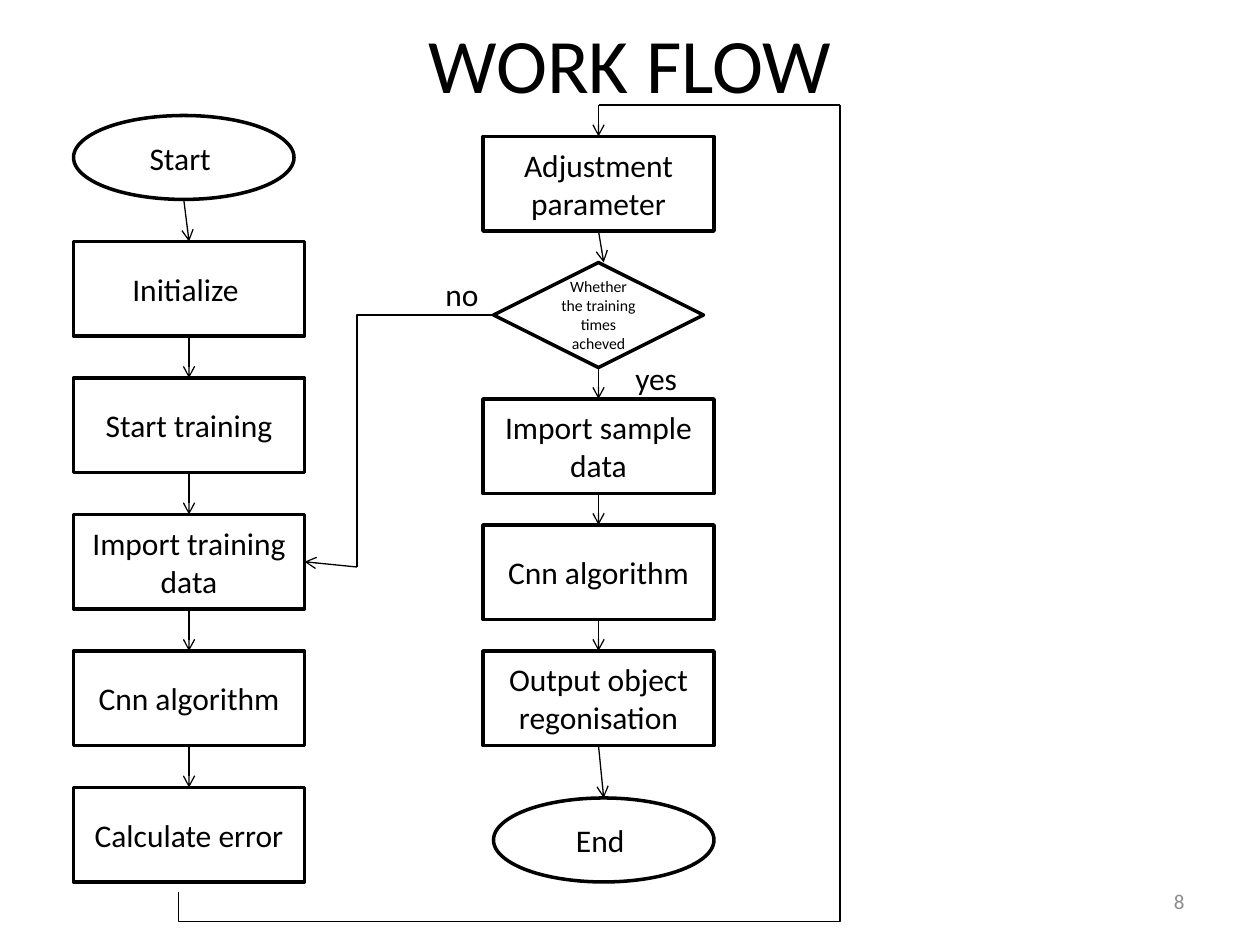
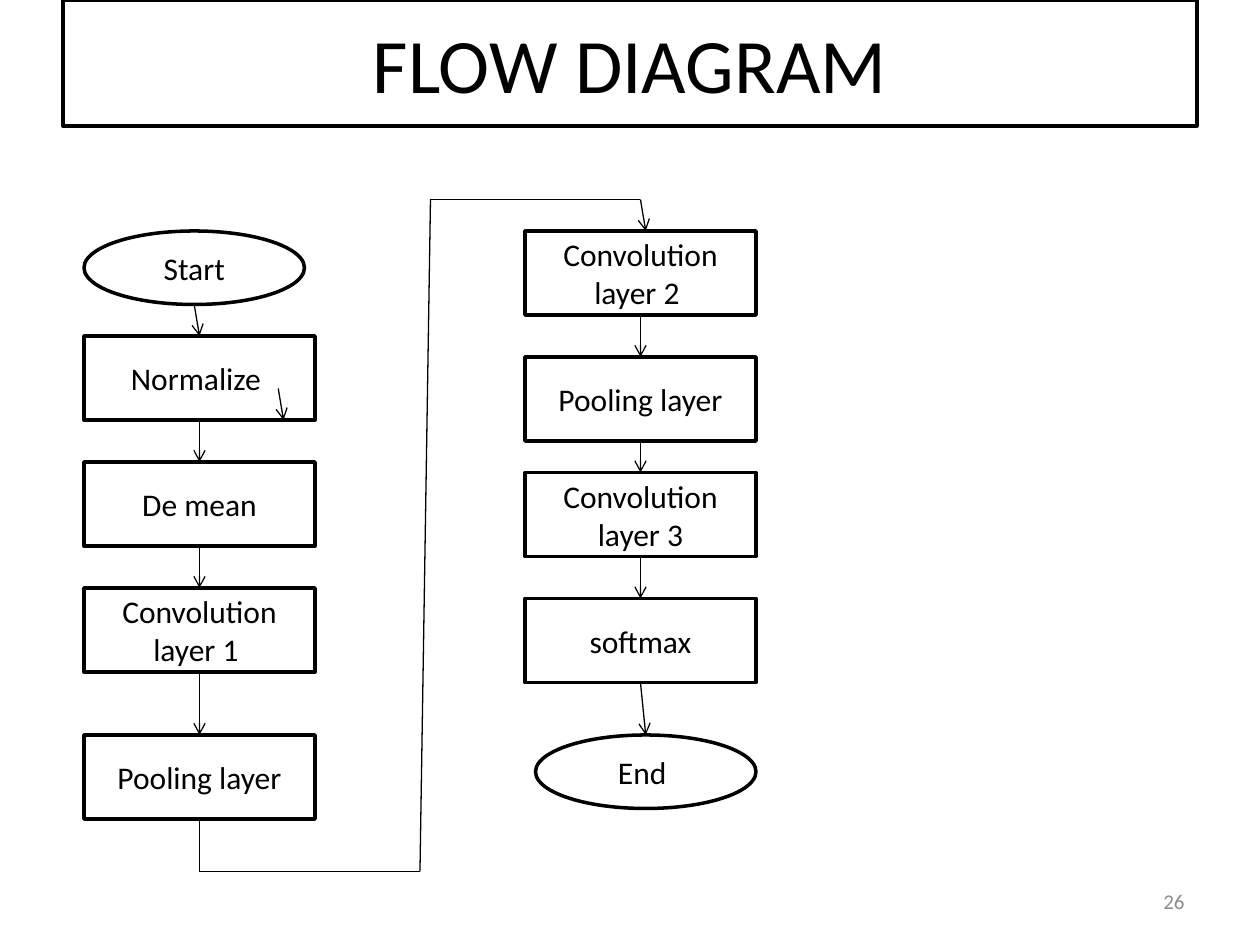
import pptx
import pptx.dml.color
import pptx.enum.shapes
import pptx.enum.text
import pptx.oxml
import pptx.oxml.ns
import pptx.util

SHAPE = pptx.enum.shapes.MSO_SHAPE
CONNECTOR = pptx.enum.shapes.MSO_CONNECTOR
ALIGN = pptx.enum.text.PP_ALIGN
BLACK, WHITE, GREY = "000000", "FFFFFF", "8C8C8C"


def grid(units):
    """Turn grid units, twelve to the inch, into a length."""
    return pptx.util.Inches(units / 12)


def color(value):
    """Turn a hex string into a colour."""
    return pptx.dml.color.RGBColor.from_string(value)


def add_xml(parent, tag, **attributes):
    """Append a drawing element with the given attributes."""
    child = pptx.oxml.parse_xml(f"<a:{tag} {pptx.oxml.ns.nsdecls('a')}/>")
    for name, value in attributes.items():
        child.set(name, value)
    parent.append(child)


class FlowSlide:
    """A flowchart slide and its style; all positions are in grid units."""

    font = "Calibri"
    step_width = 22
    terminal_width = 21

    def __init__(self, deck, title, number, title_border=None):
        """Add a blank slide with its title and page number."""
        self.shapes = deck.slides.add_slide(deck.slide_layouts[6]).shapes
        if title_border:
            self.box(title, 6, 0, 108, 12, size=44, border=title_border)
        else:
            self.caption(title, 6, 0, 108, 12, 44, BLACK, ALIGN.CENTER)
        self.caption(number, 86, 83.4, 28, 4.8, 12, GREY, ALIGN.RIGHT)

    def set_text(self, shape, text, size, ink, align):
        """Put one styled paragraph in a shape."""
        frame = shape.text_frame
        layout = {"word_wrap": True, "vertical_anchor": pptx.enum.text.MSO_ANCHOR.MIDDLE}
        for name, value in layout.items():
            setattr(frame, name, value)
        paragraph = frame.paragraphs[0]
        paragraph.alignment = align
        run = paragraph.add_run()
        run.text = text
        for name, value in {"name": self.font, "size": pptx.util.Pt(size)}.items():
            setattr(run.font, name, value)
        run.font.color.rgb = color(ink)

    def caption(self, text, left, top, width, height, size, ink, align):
        """Add plain text without a frame."""
        area = self.shapes.add_textbox(*map(grid, (left, top, width, height)))
        self.set_text(area, text, size, ink, align)

    def box(self, text, left, top, width, height, outline=SHAPE.RECTANGLE,
            size=18, border=BLACK):
        """Add a white outlined shape with centred text."""
        shape = self.shapes.add_shape(outline, *map(grid, (left, top, width, height)))
        shape.shadow.inherit = False
        shape.fill.solid()
        shape.fill.fore_color.rgb = color(WHITE)
        shape.line.color.rgb = color(border)
        shape.line.width = pptx.util.Pt(2)
        self.set_text(shape, text, size, BLACK, ALIGN.CENTER)

    def step(self, text, left, top, height):
        """Add a process box and return its top and bottom points."""
        self.box(text, left, top, self.step_width, height)
        middle = left + self.step_width / 2
        return (middle, top), (middle, top + height)

    def terminal(self, text, left, top, height):
        """Add a start or end oval and return its top and bottom points."""
        self.box(text, left, top, self.terminal_width, height, SHAPE.OVAL)
        middle = left + self.terminal_width / 2
        return (middle, top), (middle, top + height)

    def decision(self, text, left, top, width, height):
        """Add a diamond and return its top and bottom points."""
        self.box(text, left, top, width, height, SHAPE.DIAMOND, size=9)
        middle = left + width / 2
        return (middle, top), (middle, top + height)

    def steps(self, left, height, entries):
        """Add a column of process boxes from (text, top) pairs."""
        return [self.step(text, left, top, height) for text, top in entries]

    def connector(self, start, end, kind=CONNECTOR.STRAIGHT):
        """Add a thin black connector without a shadow."""
        connector = self.shapes.add_connector(kind, *map(grid, (*start, *end)))
        connector.line.color.rgb = color(BLACK)
        connector.line.width = pptx.util.Pt(0.75)
        add_xml(connector._element.spPr, "effectLst")
        return connector

    def arrow(self, start, end):
        """Add a straight connector with an open arrowhead."""
        properties = self.connector(start, end)._element.spPr
        add_xml(properties.find(pptx.oxml.ns.qn("a:ln")), "tailEnd", type="arrow")

    def chain(self, nodes):
        """Join each node's bottom to the next node's top."""
        for (_, bottom), (top, _) in zip(nodes, nodes[1:]):
            self.arrow(bottom, top)

    def polyline(self, points):
        """Join points with straight connectors."""
        for start, end in zip(points, points[1:]):
            self.connector(start, end)

    def elbow(self, start, end, preset, adjust=None):
        """Add a bent connector, turned a quarter, that leaves vertically."""
        middle_x, middle_y = (start[0] + end[0]) / 2, (start[1] + end[1]) / 2
        half_width, half_height = (start[1] - end[1]) / 2, (end[0] - start[0]) / 2
        connector = self.connector((middle_x + half_width, middle_y + half_height),
                                   (middle_x - half_width, middle_y - half_height),
                                   CONNECTOR.ELBOW)
        properties = connector._element.spPr
        properties.find(pptx.oxml.ns.qn("a:xfrm")).set("rot", "5400000")
        geometry = properties.find(pptx.oxml.ns.qn("a:prstGeom"))
        geometry.set("prst", preset)
        if adjust is not None:
            guides = geometry.find(pptx.oxml.ns.qn("a:avLst"))
            add_xml(guides, "gd", name="adj1", fmla=f"val {adjust}")


def work_flow(deck):
    """Build the training and recognition flow."""
    slide = FlowSlide(deck, "WORK FLOW", "8")
    training = ["Initialize ", "Start training", "Import training data",
                "Cnn algorithm", "Calculate error"]
    start = slide.terminal("Start ", 7, 11, 8)
    slide.chain([start] + slide.steps(
        7, 9, [(text, 23 + 13 * row) for row, text in enumerate(training)]))

    adjustment = slide.step("Adjustment parameter", 46, 13, 9)
    decision = slide.decision("Whether the training times acheved", 47, 25, 20, 10)
    recognition = ["Import sample data", "Cnn algorithm", "Output object regonisation"]
    outputs = slide.steps(
        46, 9, [(text, 38 + 12 * row) for row, text in enumerate(recognition)])
    end = slide.terminal("End ", 47, 76, 8)
    slide.chain([decision] + outputs + [end])
    slide.arrow(adjustment[1], (57.5, 25))

    slide.box("yes", 59, 35, 7, 2, border=WHITE)
    slide.box("no", 40, 27, 8, 2, border=WHITE)
    slide.elbow((34, 54), (47, 30), "bentConnector2")
    slide.arrow((34, 54), (29, 53.5))
    slide.elbow((17, 85), (80, 10), "bentConnector3", -3700)
    slide.connector((57, 10), (80, 10))
    slide.arrow((57, 10), adjustment[0])


def flow_diagram(deck):
    """Build the network layer flow."""
    slide = FlowSlide(deck, "FLOW DIAGRAM", "26", title_border=BLACK)
    start = slide.terminal("Start", 8, 22, 7)
    first_layers = slide.steps(8, 8, [("Normalize ", 32), ("De mean", 44),
                                      ("Convolution layer 1 ", 56), ("Pooling layer", 70)])
    slide.chain([start] + first_layers)
    slide.arrow((26.5, 37), (27, 40))

    last_layers = slide.steps(50, 8, [("Convolution layer 2 ", 22), ("Pooling layer", 34),
                                      ("Convolution layer 3", 45), ("softmax", 57)])
    end = slide.terminal("End ", 51, 70, 7)
    slide.chain(last_layers + [end])
    slide.polyline([first_layers[-1][1], (19, 83), (40, 83), (41, 19), (61, 19)])
    slide.arrow((61, 19), (61.5, 22))


deck = pptx.Presentation()
deck.slide_width = pptx.util.Inches(10)
deck.slide_height = pptx.util.Inches(7.5)
work_flow(deck)
flow_diagram(deck)
deck.save("out.pptx")
